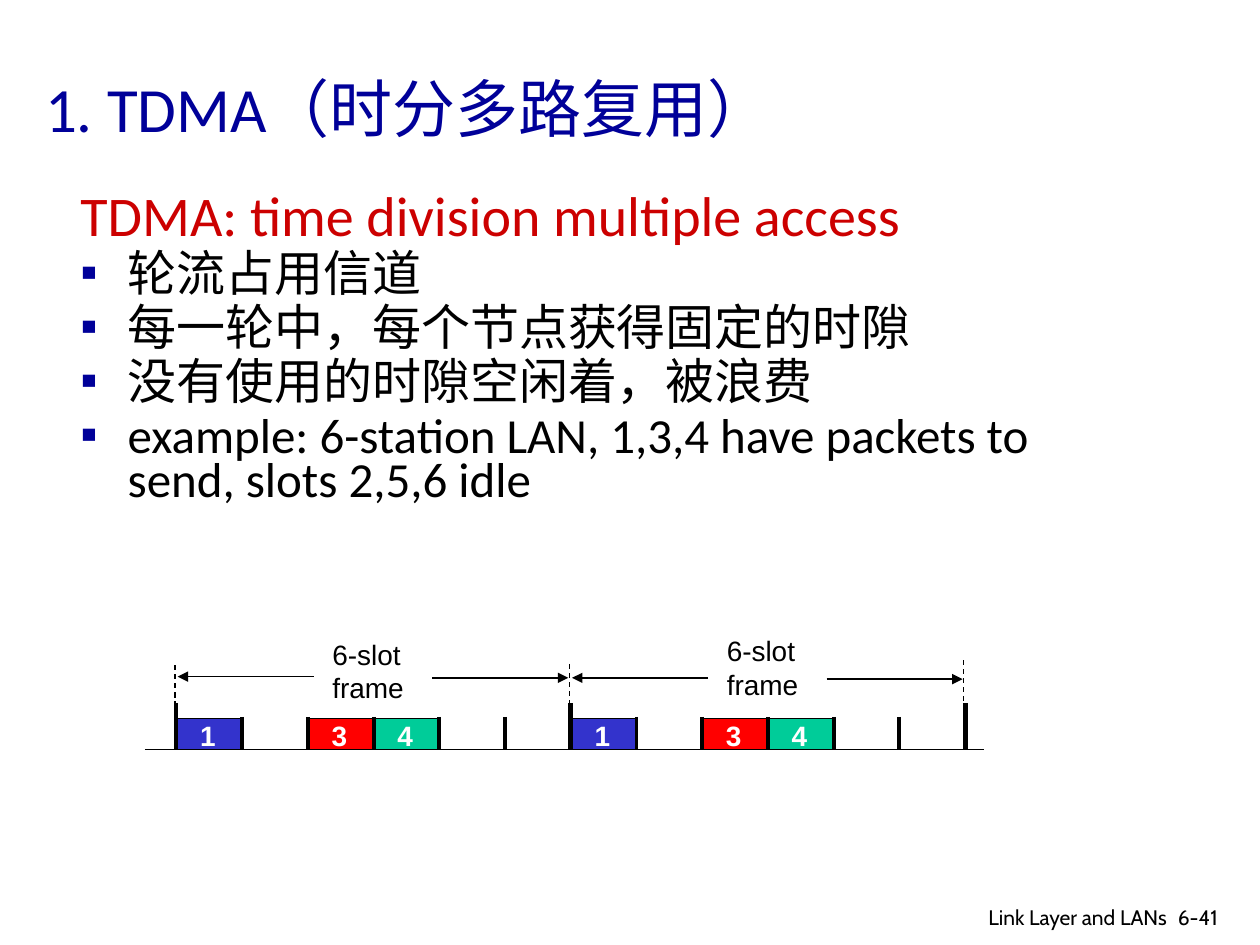
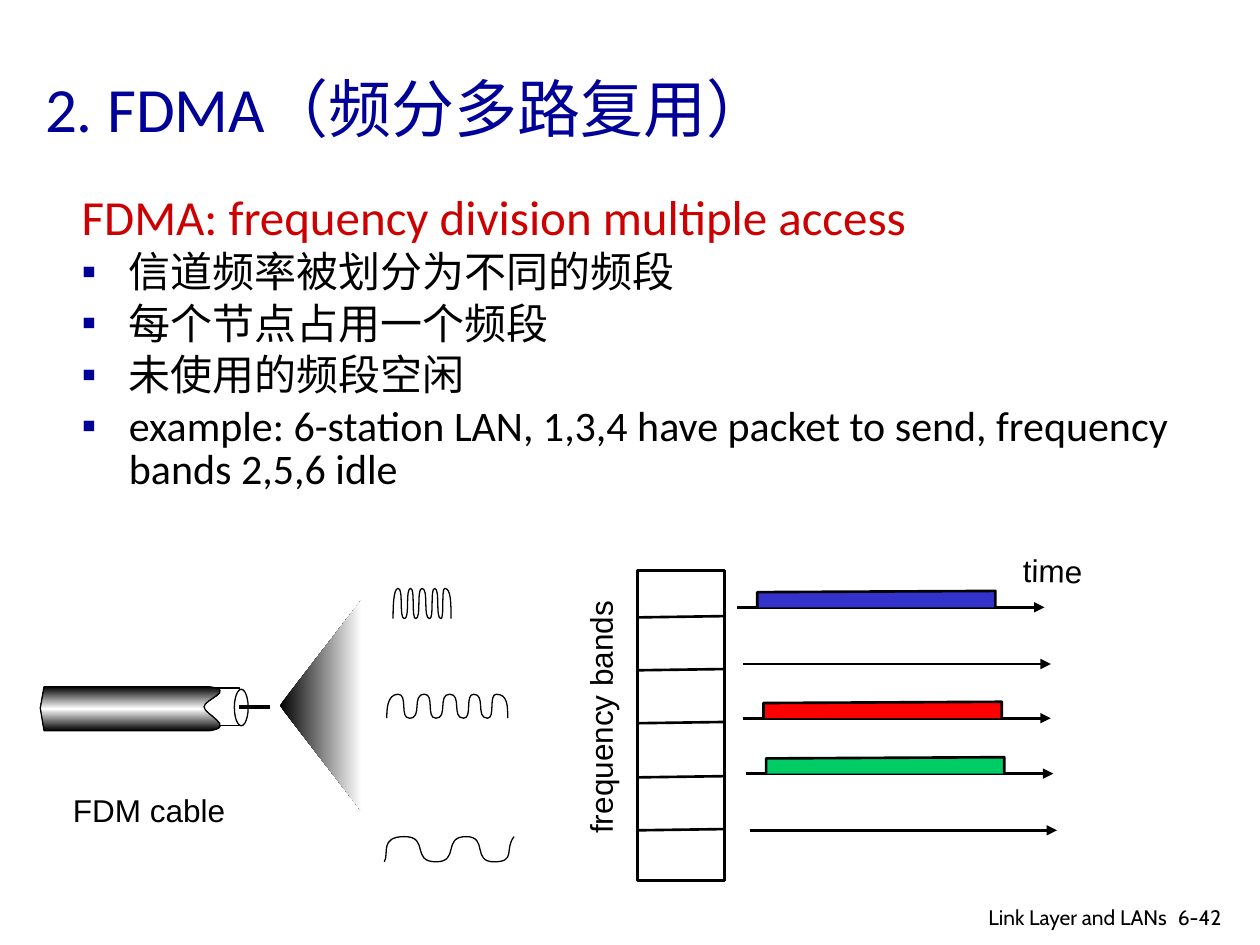
from lxml import etree
from pptx import Presentation
from pptx.dml.color import RGBColor
from pptx.enum.dml import MSO_LINE
from pptx.enum.shapes import MSO_CONNECTOR, MSO_SHAPE
from pptx.enum.text import MSO_ANCHOR, MSO_AUTO_SIZE, PP_ALIGN
from pptx.oxml.ns import qn
from pptx.util import Inches, Pt

COLORS = {
    "title": "000099", "heading": "CC0000", "ink": "000000", "paper": "FFFFFF",
    "blue": "3333CC", "red": "FF0000", "teal": "00CC99", "green": "00CC66",
}
TEXT_FONT, LABEL_FONT, FOOTER_FONT = "Calibri", "Arial", "Cabin"
FRAME = 3.13
SLOT = FRAME / 6
BULLET_INDENT = Pt(27)


def rgb(name):
    return RGBColor.from_string(COLORS[name])


def sub(parent, tag, **attrs):
    return etree.SubElement(parent, qn(tag), attrs)


def add_run(p, text, size, color="ink", font=TEXT_FONT, bold=False):
    r = p.add_run()
    r.text = text
    r.font.size = Pt(size)
    r.font.name = font
    r.font.bold = bold
    r.font.color.rgb = rgb(color)


def add_box(s, left, top, width, height, wrap=True):
    sp = s.shapes.add_textbox(*map(Inches, (left, top, width, height)))
    sp.text_frame.word_wrap = wrap
    return sp


def add_label(s, left, top, width, height, lines, size, color="ink", bold=False):
    sp = add_box(s, left, top, width, height, wrap=False)
    tf = sp.text_frame
    tf.auto_size = MSO_AUTO_SIZE.SHAPE_TO_FIT_TEXT
    for i, line in enumerate(lines):
        p = tf.add_paragraph() if i else tf.paragraphs[0]
        add_run(p, line, size, color, LABEL_FONT, bold)
    return sp


def add_line(s, x1, y1, x2, y2, weight=0.75, dash=False, arrow=False):
    c = s.shapes.add_connector(MSO_CONNECTOR.STRAIGHT, *map(Inches, (x1, y1, x2, y2)))
    c.line.color.rgb = rgb("ink")
    c.line.width = Pt(weight)
    if dash:
        c.line.dash_style = MSO_LINE.DASH
    if arrow:
        sub(c.line._get_or_add_ln(), "a:tailEnd", type="triangle")
    sub(c._element.spPr, "a:effectLst")


def style(sp, fill=None, weight=0.75):
    sp.shadow.inherit = False
    if fill:
        sp.fill.solid()
        sp.fill.fore_color.rgb = rgb(fill)
    else:
        sp.fill.background()
    if weight:
        sp.line.color.rgb = rgb("ink")
        sp.line.width = Pt(weight)
    else:
        sp.line.fill.background()


def add_preset(s, kind, left, top, width, height, fill, weight=0.75):
    sp = s.shapes.add_shape(kind, *map(Inches, (left, top, width, height)))
    style(sp, fill, weight)


def add_outline(s, left, top, points, fill=None, weight=0.75, close=True, curve_from=None):
    """Freeform through offsets from left, top; segments from curve_from on are cubic."""
    pts = [(Inches(left + x), Inches(top + y)) for x, y in points]
    builder = s.shapes.build_freeform(*pts[0], scale=1.0)
    builder.add_line_segments(pts[1:], close=close)
    sp = builder.convert_to_shape()
    if curve_from is not None:
        segments = list(sp._element.spPr.iter(qn("a:lnTo")))[curve_from:]
        for i in range(0, len(segments), 3):
            curve = etree.Element(qn("a:cubicBezTo"))
            segments[i].addprevious(curve)
            for segment in segments[i:i + 3]:
                curve.append(segment[0])
                segment.getparent().remove(segment)
    style(sp, fill, weight)
    return sp


def set_gradient(sp, names, angle):
    """Linear gradient with evenly spaced stops."""
    sp.fill.gradient()
    sp.fill.gradient_angle = angle
    stops = sp._element.spPr.find(qn("a:gradFill")).find(qn("a:gsLst"))
    for old in list(stops):
        stops.remove(old)
    for i, name in enumerate(names):
        gs = sub(stops, "a:gs", pos=str(100000 * i // (len(names) - 1)))
        sub(gs, "a:srgbClr", val=COLORS[name])


def add_wave(s, left, top, height, turns, hook=0.0, reach=0.9):
    """Wave that starts low and alternates between crest and trough at turns."""
    points = [(turns[0], height)]
    last = len(turns) - 2
    for i, (x0, x1) in enumerate(zip(turns, turns[1:])):
        y0, y1 = (height, 0) if i % 2 == 0 else (0, height)
        pull = reach * (x1 - x0)
        lead, trail = (x0 + pull, y0), (x1 - pull, y1)
        if i == 0:
            lead, trail = (x0 + hook, 0.7 * height), (x0 - hook, 0)
        elif i == last:
            lead, trail = (x1 + hook / 2, y0), (x1 - 2 * hook, (y0 + y1) / 2)
        points += [lead, trail, (x1, y1)]
    add_outline(s, left, top, points, close=False, curve_from=0)


def add_title(s, text):
    tf = add_box(s, 0.26, 0.23, 9.44, 1.25).text_frame
    tf.vertical_anchor = MSO_ANCHOR.MIDDLE
    add_run(tf.paragraphs[0], text, 36, "title")


def add_footer(s, number):
    for left, width, text, align in ((9.25, 0.6, number, PP_ALIGN.LEFT),
                                     (6.98, 2.38, "Link Layer and LANs", PP_ALIGN.RIGHT)):
        p = add_box(s, left, 7.13, width, 0.28).text_frame.paragraphs[0]
        p.alignment = align
        add_run(p, text, 12, font=FOOTER_FONT)


def add_body(s, box, heading, items, size, spacing):
    tf = add_box(s, *box).text_frame
    p = tf.paragraphs[0]
    p.line_spacing = spacing
    add_run(p, heading, size + 4, "heading")
    for item in items:
        p = tf.add_paragraph()
        p.line_spacing = spacing
        p.space_before = Pt(0.2 * size)
        pPr = p._p.get_or_add_pPr()
        pPr.set("marL", str(BULLET_INDENT))
        pPr.set("indent", str(-BULLET_INDENT))
        sub(sub(pPr, "a:buClr"), "a:srgbClr", val=COLORS["title"])
        sub(pPr, "a:buFont", typeface=LABEL_FONT)
        sub(pPr, "a:buChar", char="▪")
        add_run(p, item, size)


def add_time_frame(s, left, base, label_top, arrow_y):
    """One six-slot frame standing on the time axis at base."""
    for slot, color in ((1, "blue"), (3, "red"), (4, "teal")):
        x = left + (slot - 1) * SLOT
        add_preset(s, MSO_SHAPE.RECTANGLE, x, base - 0.25, SLOT, 0.25, color)
        add_label(s, x + 0.1, base - 0.3, 0.32, 0.37, [str(slot)], 16, "paper", True)
    for i in range(1, 6):
        x = left + i * SLOT + 0.01
        add_line(s, x, base - 0.26, x, base, 2.25)
    add_label(s, left + 1.15, label_top, 0.77, 0.64, ["6-slot", "frame"], 16)
    add_line(s, left + 1.1, arrow_y, left + 0.02, arrow_y, arrow=True)
    add_line(s, left + 2.04, arrow_y + 0.01, left + 3.12, arrow_y + 0.01, arrow=True)


def add_timeline(s, left, base):
    add_line(s, left, base, left + 6.66, base)
    start = left + 0.24
    for i in range(2):
        add_time_frame(s, start + i * FRAME, base,
                       base - 0.94 - 0.03 * i, base - 0.58 + 0.01 * i)
    for i, (weight, rise) in enumerate(((2.25, 0.67), (3, 0.68), (3, 0.71))):
        x = start + i * FRAME
        add_line(s, x + 0.01, base - 0.37, x + 0.01, base, weight)
        add_line(s, x, base - rise, x, base - rise + 0.33, dash=True)


def add_cable(s, left, top):
    add_preset(s, MSO_SHAPE.RECTANGLE, left + 1.29, top + 0.01, 0.29, 0.3, "paper")
    sheath = [(0.03, 0), (0, 0.17), (0.03, 0.35), (1.34, 0.35),
              (1.56, 0.32), (1.3, 0.22), (1.3, 0.16),
              (1.3, 0.1), (1.56, 0.03), (1.34, 0)]
    set_gradient(add_outline(s, left, top, sheath, curve_from=3),
                 ("ink", "paper", "ink"), 90)
    add_preset(s, MSO_SHAPE.OVAL, left + 1.54, top + 0.02, 0.11, 0.29, "paper")
    add_line(s, left + 1.58, top + 0.16, left + 1.82, top + 0.16, 2.25)
    add_label(s, left + 0.16, top + 0.78, 1.41, 0.4, ["FDM cable"], 18)
    beam = add_outline(s, left + 1.9, top - 0.69,
                       [(0.65, 0), (0, 0.84), (0.65, 1.68)], weight=0)
    set_gradient(beam, ("ink", "paper"), 0)


def add_waves(s, left, top):
    add_wave(s, left + 0.11, top, 0.24,
             (0, 0.04, 0.09, 0.14, 0.18, 0.23, 0.29, 0.33, 0.38, 0.41, 0.46))
    add_wave(s, left + 0.06, top + 0.84, 0.19,
             (0, 0.09, 0.18, 0.3, 0.39, 0.5, 0.61, 0.69, 0.8, 0.87, 0.96))
    add_wave(s, left + 0.04, top + 1.97, 0.2,
             (0, 0.16, 0.41, 0.65, 0.87, 1.03), hook=0.04, reach=0.8)


def add_band_stack(s, left, top):
    add_preset(s, MSO_SHAPE.RECTANGLE, left, top, 0.69, 2.46, "paper", 1.5)
    for rise in (0.37, 0.79, 1.21, 1.64, 2.06):
        y = top + rise
        add_line(s, left, y, left + 0.69, y - 0.01, 1.5)
    add_label(s, left - 1.32, top + 0.96, 2.05, 0.4, ["frequency bands"], 18).rotation = 270


def add_signals(s, left, top):
    """Time arrows of the bands, with a bar on each band in use."""
    rows = ((0, 0, "blue"), (0.05, 0.45, None), (0.05, 0.88, "red"),
            (0.07, 1.32, "green"), (0.1, 1.77, None))
    for shift, drop, color in rows:
        x, y = left + shift, top + drop
        add_line(s, x, y, x + 2.44, y, 1.5, arrow=True)
        if color:
            add_outline(s, x + 0.16, y - 0.13,
                        [(0, 0.13), (0, 0.01), (1.89, 0), (1.89, 0.13)],
                        color, 1.5, close=False)
    add_label(s, left + 2.17, top - 0.49, 0.67, 0.4, ["time"], 18).rotation = 1.1


def build_tdma(s):
    add_body(s, (0.54, 1.51, 8.5, 3.2), "TDMA: time division multiple access", (
        "轮流占用信道",
        "每一轮中，每个节点获得固定的时隙",
        "没有使用的时隙空闲着，被浪费",
        "example: 6-station LAN, 1,3,4 have packets to send, slots 2,5,6 idle",
    ), 28, 0.75)
    add_timeline(s, 1.15, 5.95)


def build_fdma(s):
    add_body(s, (0.55, 1.5, 8.99, 5.08), "FDMA: frequency division multiple access", (
        "信道频率被划分为不同的频段",
        "每个节点占用一个频段",
        "未使用的频段空闲",
        "example: 6-station LAN, 1,3,4 have packet to send, frequency bands 2,5,6 idle",
    ), 24, 0.85)
    add_cable(s, 0.32, 5.45)
    add_waves(s, 3.01, 4.67)
    add_band_stack(s, 5.06, 4.53)
    add_signals(s, 5.85, 4.82)


def main():
    prs = Presentation()
    prs.slide_width, prs.slide_height = Inches(10), Inches(7.5)
    for title, number, build in (("1. TDMA（时分多路复用）", "6-41", build_tdma),
                                 ("2. FDMA（频分多路复用）", "6-42", build_fdma)):
        s = prs.slides.add_slide(prs.slide_layouts[6])
        add_title(s, title)
        build(s)
        add_footer(s, number)
    prs.save("out.pptx")


if __name__ == "__main__":
    main()
